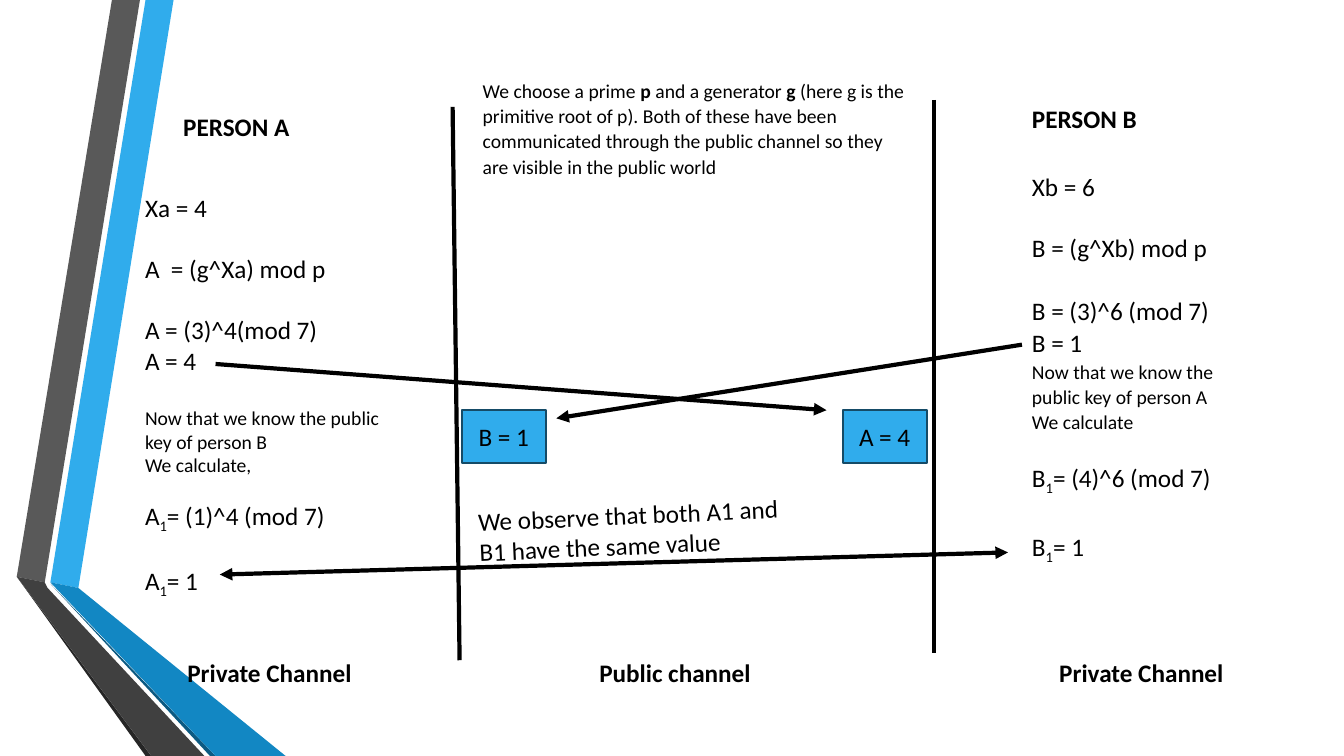
from lxml.etree import SubElement
from pptx import Presentation
from pptx.dml.color import RGBColor
from pptx.enum.shapes import MSO_CONNECTOR, MSO_SHAPE
from pptx.enum.text import MSO_ANCHOR, PP_ALIGN
from pptx.oxml.ns import qn
from pptx.util import Pt

COLORS = {
    "ink": "000000", "sky": "30ACEC", "blue": "1287C3", "navy": "0C5A82",
    "outline": "154B67", "gray": "595959", "charcoal": "404040", "soot": "262626",
}
SUBSCRIPT = {"subscript": True}
BOLD = {"bold": True}
SMALL = {"size": 14}

# Outlines of the folded ribbon, from back to front
RIBBON = [
    ("sky", [(36, 416.5), (55.5, 420), (124.5, 0), (104.5, 0)]),
    ("gray", [(100, 0), (80, 0), (11.5, 412.5), (31.5, 415.5)]),
    ("soot", [(11.5, 412.5), (104.5, 540), (108.5, 540)]),
    ("navy", [(36, 417), (150, 540), (154, 540)]),
    ("blue", [(36, 416.5), (154, 540), (204, 540), (55.5, 420)]),
    ("charcoal", [(145.5, 540), (34.5, 420), (31.5, 415.5), (11.5, 412.5), (108.5, 540)]),
]
# Left, top, width, text
HEADINGS = [
    (123.8, 76.3, 179, "PERSON A"),
    (730, 70.5, 136, "PERSON B"),
    (126.7, 466, 146, "Private Channel"),
    (421, 466, 196, "Public channel"),
    (749.5, 466, 167, "Private Channel"),
]
# Start, end, arrowheads
LINES = [
    ((323.3, 76.3), (328.3, 471.6), ()),
    ((667.4, 71.3), (667.4, 466.6), ()),
    ((154, 260), (590.4, 293), ("tailEnd",)),
    ((730, 246.2), (397.4, 298.8), ("tailEnd",)),
    ((157, 410.4), (720, 394.6), ("headEnd", "tailEnd")),
]
PUBLIC_KEYS = [(329.8, "B = 1"), (601.9, "A = 4")]


def plain(text, before=0, spacing=1.0, **font):
    """One paragraph with a single run."""
    return [(text, font)], {"space_before": Pt(before), "line_spacing": spacing}


def indexed(letter, rest, before, spacing=1.0):
    """One paragraph that starts with a letter and a subscript 1."""
    runs = [(letter, {}), ("1", SUBSCRIPT), (rest, {})]
    return runs, {"space_before": Pt(before), "line_spacing": spacing}


PERSON_A_STEPS = [
    plain("Xa = 4"),
    plain("A  = (g^Xa) mod p", 22),
    plain("A = (3)^4(mod 7)", 22),
    plain("A = 4"),
    plain("Now that we know the public key of person B", 22, **SMALL),
    plain("We calculate,", **SMALL),
    indexed("A", "= (1)^4 (mod 7)", 17),
    indexed("A", "= 1", 22),
]
PERSON_B_STEPS = [
    plain("Xb = 6"),
    plain("B = (g^Xb) mod p", 22),
    plain("B = (3)^6 (mod 7)", 22, 1.07),
    plain("B = 1", 0, 1.07),
    plain("Now that we know the public key of person A", 0, 1.07, **SMALL),
    plain("We calculate", 0, 1.07, **SMALL),
    indexed("B", "= (4)^6 (mod 7)", 18.5, 1.07),
    indexed("B", "= 1", 23.5, 1.07),
]
INTRODUCTION = [([
    ("We choose a prime ", SMALL),
    ("p", SMALL | BOLD),
    (" and a generator ", SMALL),
    ("g ", SMALL | BOLD),
    ("(here g is the primitive root of p). Both of these have been communicated "
     "through the public channel so they are visible in the public world", SMALL),
], {"line_spacing": 1.07})]


class SlideBuilder:
    def __init__(self, slide, font="Calibri", size=18, line_width=3):
        self.slide = slide
        self.font = font
        self.size = size
        self.line_width = line_width

    def color(self, name):
        return RGBColor.from_string(COLORS[name])

    def paint(self, shape, fill, outline=None):
        shape.shadow.inherit = False
        shape.fill.solid()
        shape.fill.fore_color.rgb = self.color(fill)
        if outline:
            shape.line.color.rgb = self.color(outline)
            shape.line.width = Pt(1.25)
        else:
            shape.line.fill.background()

    def fill_text(self, frame, paragraphs):
        frame.word_wrap = True
        for index, (runs, layout) in enumerate(paragraphs):
            paragraph = frame.add_paragraph() if index else frame.paragraphs[0]
            for name, value in layout.items():
                setattr(paragraph, name, value)
            for text, style in runs:
                run = paragraph.add_run()
                run.text = text
                values = {
                    "name": self.font,
                    "size": Pt(style.get("size", self.size)),
                    "bold": style.get("bold", False),
                }
                for name, value in values.items():
                    setattr(run.font, name, value)
                run.font.color.rgb = self.color("ink")
                if style.get("subscript"):
                    run._r.get_or_add_rPr().set("baseline", "-25000")

    def polygon(self, points, fill):
        builder = self.slide.shapes.build_freeform(*points[0], scale=Pt(1))
        builder.add_line_segments(points[1:], close=True)
        self.paint(builder.convert_to_shape(), fill)

    def text(self, left, top, width, height, paragraphs, rotation=0):
        box = self.slide.shapes.add_textbox(Pt(left), Pt(top), Pt(width), Pt(height))
        box.rotation = rotation
        self.fill_text(box.text_frame, paragraphs)

    def key_box(self, left, top, width, height, label):
        box = self.slide.shapes.add_shape(
            MSO_SHAPE.RECTANGLE, Pt(left), Pt(top), Pt(width), Pt(height))
        self.paint(box, "sky", "outline")
        box.text_frame.vertical_anchor = MSO_ANCHOR.MIDDLE
        self.fill_text(box.text_frame, [([(label, {})], {"alignment": PP_ALIGN.CENTER})])

    def line(self, start, end, arrowheads=()):
        connector = self.slide.shapes.add_connector(
            MSO_CONNECTOR.STRAIGHT, *[Pt(value) for value in start + end])
        connector.line.color.rgb = self.color("ink")
        connector.line.width = Pt(self.line_width)
        for arrowhead in arrowheads:
            SubElement(connector.line._get_or_add_ln(), qn(f"a:{arrowhead}"), type="triangle")
        SubElement(connector._element.spPr, qn("a:effectLst"))


def main():
    presentation = Presentation()
    presentation.slide_width, presentation.slide_height = Pt(960), Pt(540)
    builder = SlideBuilder(presentation.slides.add_slide(presentation.slide_layouts[6]))

    for fill, points in RIBBON:
        builder.polygon(points, fill)
    for left, top, width, heading in HEADINGS:
        builder.text(left, top, width, 29, [plain(heading, **BOLD)])
    builder.text(337.7, 51.8, 319, 79, INTRODUCTION)
    builder.text(96.5, 134, 186.5, 358, PERSON_A_STEPS)
    builder.text(730, 118.8, 167, 417, PERSON_B_STEPS)
    for left, label in PUBLIC_KEYS:
        builder.key_box(left, 293, 60, 37.5, label)
    for start, end, arrowheads in LINES:
        builder.line(start, end, arrowheads)
    builder.text(334.8, 352.8, 251, 51,
                 [plain("We observe that both A1 and B1 have the same value")], 357.4)

    presentation.save("out.pptx")


if __name__ == "__main__":
    main()
